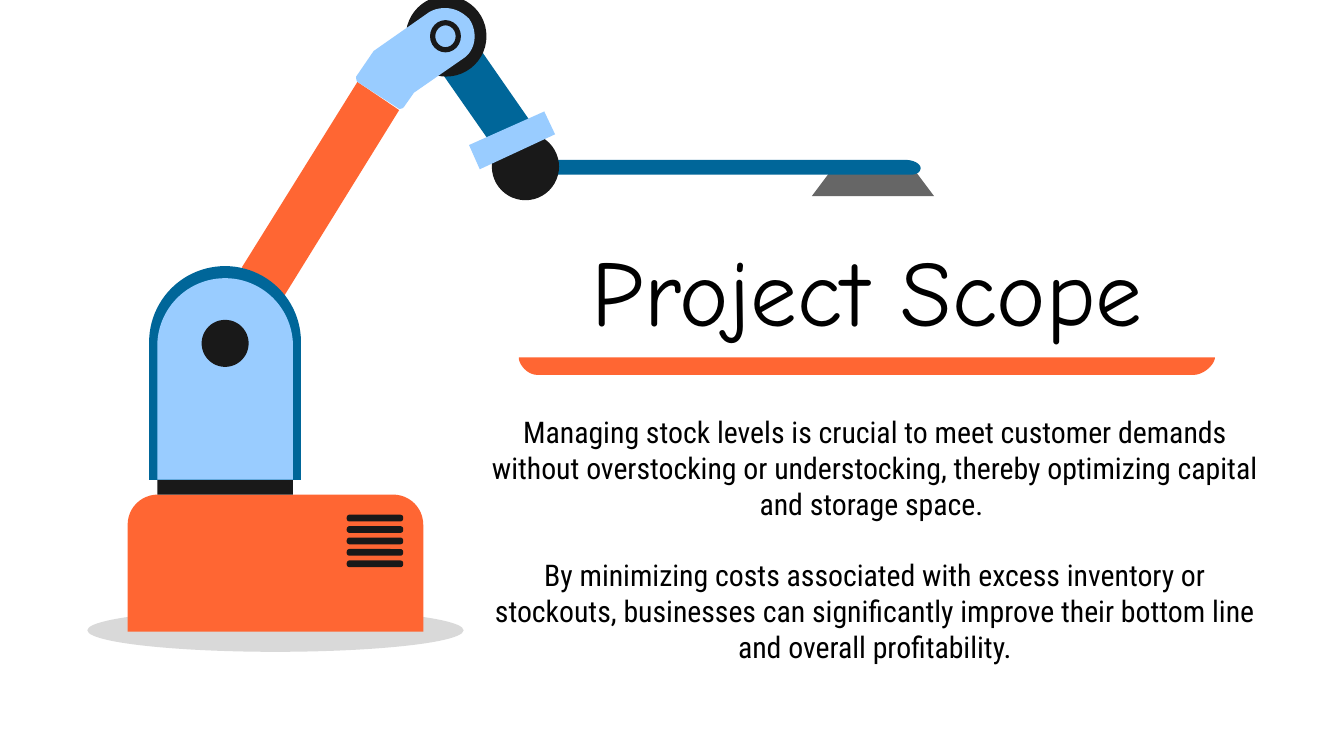
from dataclasses import dataclass

from pptx import Presentation, util as u
from pptx.dml.color import RGBColor
from pptx.enum import shapes as s, text as t

# Colours
BLACK = RGBColor(0x00, 0x00, 0x00)
INK = RGBColor(0x19, 0x19, 0x19)
GREY = RGBColor(0x66, 0x66, 0x66)
SHADE = RGBColor(0xD9, 0xD9, 0xD9)
NAVY = RGBColor(0x00, 0x66, 0x99)
SKY = RGBColor(0x99, 0xCC, 0xFF)
CORAL = RGBColor(0xFF, 0x66, 0x33)

KIND = s.MSO_SHAPE
STEPS = 16
WIDTH = u.Inches(10)
HEIGHT = WIDTH * 9 // 16


@dataclass
class Part:
    """A preset shape; lengths in inches."""
    kind: s.MSO_SHAPE
    box: tuple[float, float, float, float]
    fill: RGBColor
    adj: tuple[float, ...] = ()


@dataclass
class Path:
    """A closed outline; a step is (x, y) or a curve of three points."""
    steps: list[tuple]
    fill: RGBColor


def disc(x: float, y: float, r: float, fill: RGBColor) -> Part:
    return Part(KIND.OVAL, (x - r, y - r, 2 * r, 2 * r), fill)


def paint(shape, fill: RGBColor) -> None:
    shape.shadow.inherit = False
    shape.fill.solid()
    shape.fill.fore_color.rgb = fill
    shape.line.fill.background()


def draw_part(slide, part: Part) -> None:
    shape = slide.shapes.add_shape(part.kind, *map(u.Inches, part.box))
    for i, value in enumerate(part.adj):
        shape.adjustments[i] = value
    paint(shape, part.fill)


def curve(a: tuple, b: tuple, c: tuple, d: tuple) -> list[tuple]:
    """Points along a cubic curve, after its start."""
    dots = []
    for i in range(1, STEPS + 1):
        k = i / STEPS
        mix = ((1 - k) ** 3, 3 * k * (1 - k) ** 2, 3 * k * k * (1 - k), k ** 3)
        dots.append(tuple(sum(m * p[n] for m, p in zip(mix, (a, b, c, d)))
                          for n in (0, 1)))
    return dots


def draw_path(slide, path: Path) -> None:
    dots = [path.steps[0]]
    for step in path.steps[1:]:
        dots += curve(dots[-1], *step) if len(step) == 3 else [step]
    dots = [(u.Inches(x), u.Inches(y)) for x, y in dots]
    pen = slide.shapes.build_freeform(*dots[0])
    pen.add_line_segments(dots[1:], close=True)
    paint(pen.convert_to_shape(), path.fill)


def write(slide, box: tuple, *lines: str, size: float, font: str,
          anchor=t.MSO_ANCHOR.TOP, gap: float = 0) -> None:
    frame = slide.shapes.add_textbox(*map(u.Inches, box)).text_frame
    frame.word_wrap = True
    frame.vertical_anchor = anchor
    frame.margin_left = frame.margin_right = u.Inches(0.1)
    frame.margin_top = frame.margin_bottom = u.Inches(0.1)
    for i, line in enumerate(lines):
        para = frame.add_paragraph() if i else frame.paragraphs[0]
        para.alignment = t.PP_ALIGN.CENTER
        if i:
            para.space_before = u.Pt(gap)
        run = para.add_run()
        run.text = line
        run.font.size = u.Pt(size)
        run.font.name = font
        run.font.color.rgb = BLACK


# Robot arm, from back to front
ARM = [
    Part(KIND.OVAL, (0.65, 4.53, 2.8, 0.32), SHADE),
    # Gripper and rod
    Part(KIND.TRAPEZOID, (6.04, 1.26, 0.91, 0.2), GREY, (0.75,)),
    Path([(3.71, 1.19), (3.72, 1.3), (6.78, 1.3),
          ((6.82, 1.3), (6.85, 1.28), (6.85, 1.25)),
          ((6.85, 1.22), (6.8, 1.19), (6.74, 1.19))], NAVY),
    disc(3.91, 1.24, 0.25, INK),
    # Forearm, cuff and upper arm
    Path([(3.59, 0.39), (3.25, 0.49), (3.69, 1.12), (4.02, 1.01)], NAVY),
    Path([(4.05, 0.83), (3.49, 1.08), (3.57, 1.26), (4.13, 1)], SKY),
    Path([(2.66, 0.61), (1.8, 1.99), (2.11, 2.21), (2.97, 0.82)], CORAL),
    # Elbow
    disc(3.32, 0.27, 0.3, INK),
    Path([(3.31, 0.06), ((3.27, 0.06), (3.22, 0.07), (3.18, 0.1)),
          (2.78, 0.38), (2.65, 0.57),
          ((2.65, 0.58), (2.65, 0.6), (2.66, 0.61)),
          (2.97, 0.81), ((2.98, 0.81), (3, 0.81), (3.01, 0.79)),
          (3.08, 0.69), (3.44, 0.44),
          ((3.54, 0.38), (3.56, 0.24), (3.49, 0.14)),
          ((3.44, 0.09), (3.38, 0.06), (3.31, 0.06))], SKY),
    Part(KIND.DONUT, (3.2, 0.15, 0.23, 0.24), INK, (0.17,)),
    # Base with its vent
    Part(KIND.ROUND_2_SAME_RECTANGLE, (0.95, 3.68, 2.2, 1.02), CORAL,
         (0.22, 0)),
    *(Part(KIND.ROUNDED_RECTANGLE, (2.58, 3.83 + 0.34 * i / 4, 0.42, 0.05),
           INK, (0.4,)) for i in range(5)),
    # Shoulder
    Part(KIND.RECTANGLE, (1.17, 3.57, 1.01, 0.11), INK),
    Part(KIND.ROUND_2_SAME_RECTANGLE, (1.11, 1.98, 1.13, 1.59), NAVY,
         (0.5, 0)),
    Part(KIND.ROUND_2_SAME_RECTANGLE, (1.17, 2.07, 1.01, 1.5), SKY,
         (0.5, 0)),
    Part(KIND.OVAL, (1.5, 2.38, 0.35, 0.35), INK),
]

# Bar under the title
BAR = Path([(3.86, 2.66), ((3.86, 2.71), (3.92, 2.79), (4, 2.79)),
            (8.88, 2.79), ((8.96, 2.79), (9.04, 2.71), (9.04, 2.66))], CORAL)


def main() -> None:
    deck = Presentation()
    deck.slide_width, deck.slide_height = WIDTH, HEIGHT
    slide = deck.slides.add_slide(deck.slide_layouts[6])

    write(slide, (3.62, 1.01, 5.67, 1.66), "Project Scope", size=50,
          font="Comic Neue", anchor=t.MSO_ANCHOR.BOTTOM)
    write(slide, (3.53, 2.98, 5.96, 0.98),
          "Managing stock levels is crucial to meet customer demands without "
          "overstocking or understocking, thereby optimizing capital and "
          "storage space. ",
          "By minimizing costs associated with excess inventory or stockouts, "
          "businesses can significantly improve their bottom line and overall "
          "profitability.",
          size=16, font="Roboto Condensed", gap=19)

    for item in [*ARM, BAR]:
        if isinstance(item, Part):
            draw_part(slide, item)
        else:
            draw_path(slide, item)
    deck.save("out.pptx")


if __name__ == "__main__":
    main()
